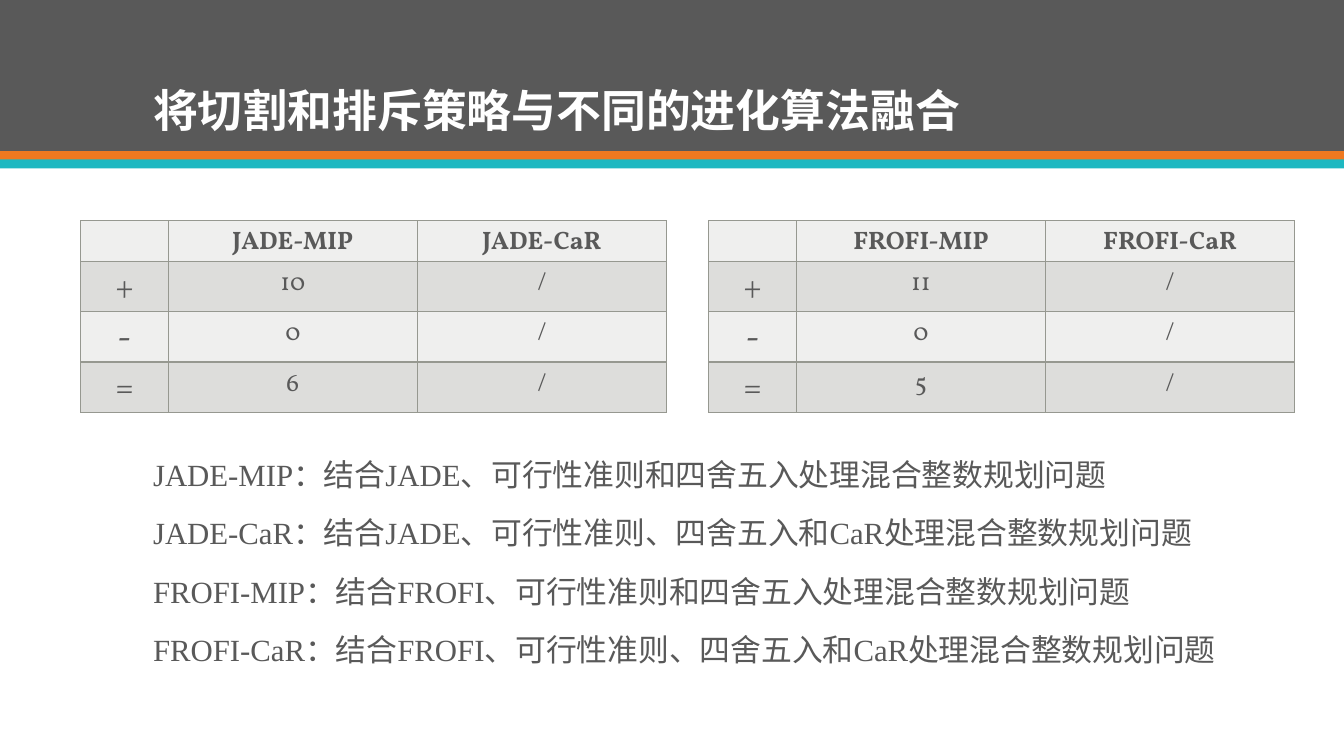
from lxml import etree
from pptx import Presentation
from pptx.dml.color import RGBColor
from pptx.enum import shapes, text
from pptx.oxml import ns
from pptx.util import Inches, Pt

# Content
TITLE = "将切割和排斥策略与不同的进化算法融合"
TABLES = [
    [("", "JADE-MIP", "JADE-CaR"), ("+", "10", "/"), ("-", "0", "/"), ("=", "6", "/")],
    [("", "FROFI-MIP", "FROFI-CaR"), ("+", "11", "/"), ("-", "0", "/"), ("=", "5", "/")],
]
NOTES = [
    "JADE-MIP：结合JADE、可行性准则和四舍五入处理混合整数规划问题",
    "JADE-CaR：结合JADE、可行性准则、四舍五入和CaR处理混合整数规划问题",
    "FROFI-MIP：结合FROFI、可行性准则和四舍五入处理混合整数规划问题",
    "FROFI-CaR：结合FROFI、可行性准则、四舍五入和CaR处理混合整数规划问题",
]

# Style
GRAY = RGBColor(0x59, 0x59, 0x59)
ORANGE = RGBColor(0xEF, 0x79, 0x20)
TEAL = RGBColor(0x1E, 0xB8, 0xC1)
WHITE = RGBColor(0xFF, 0xFF, 0xFF)
LIGHT = RGBColor(0xEF, 0xEF, 0xEE)
DARK = RGBColor(0xDD, 0xDD, 0xDB)
BORDER = RGBColor(0x96, 0x98, 0x90)
CJK_FONT = "Noto Sans CJK SC"
BANDS = [(0, 1.5, GRAY), (1.5, 0.09, ORANGE), (1.58, 0.09, TEAL)]
TABLE_LEFT, TABLE_TOP, TABLE_STEP = 0.8, 2.19, 6.23
COLUMNS = [0.87, 2.47, 2.47]
ROWS = [0.37, 0.5, 0.5, 0.5]


def style(paragraph, name, size, color, bold=False):
    font = paragraph.font
    font.name, font.size, font.bold = name, Pt(size), bold
    font.color.rgb = color
    latin = font._element.find(ns.qn("a:latin"))
    east_asian = etree.Element(ns.qn("a:ea"), typeface=CJK_FONT)
    latin.addnext(east_asian)


def add_text(slide, box, lines, name, size, color, bold=False, anchor=text.MSO_ANCHOR.TOP):
    frame = slide.shapes.add_textbox(*map(Inches, box)).text_frame
    frame.word_wrap = True
    frame.vertical_anchor = anchor
    frame.text = "\n".join(lines)
    for index, paragraph in enumerate(frame.paragraphs):
        paragraph.line_spacing = 0.9
        if index:
            paragraph.space_before = Pt(18)
        style(paragraph, name, size, color, bold)


def add_borders(cell):
    properties = cell._tc.get_or_add_tcPr()
    for index, side in enumerate(("lnL", "lnR", "lnT", "lnB")):
        line = etree.Element(ns.qn(f"a:{side}"), w=str(Pt(1)))
        fill = etree.SubElement(line, ns.qn("a:solidFill"))
        etree.SubElement(fill, ns.qn("a:srgbClr"), val=str(BORDER))
        properties.insert(index, line)


def add_result_table(slide, left, rows):
    table = slide.shapes.add_table(
        len(rows), len(COLUMNS), Inches(left), Inches(TABLE_TOP),
        Inches(sum(COLUMNS)), Inches(sum(ROWS))).table
    for column, width in zip(table.columns, COLUMNS):
        column.width = Inches(width)
    for row, height in zip(table.rows, ROWS):
        row.height = Inches(height)
    for r, values in enumerate(rows):
        for c, value in enumerate(values):
            cell = table.cell(r, c)
            cell.text = value
            cell.fill.solid()
            cell.fill.fore_color.rgb = DARK if r % 2 else LIGHT
            add_borders(cell)
            paragraph = cell.text_frame.paragraphs[0]
            paragraph.alignment = text.PP_ALIGN.CENTER
            style(paragraph, "Vollkorn", 24 if r and c == 0 else 18, GRAY, r == 0)


presentation = Presentation()
presentation.slide_width, presentation.slide_height = Inches(13.33), Inches(7.5)
slide = presentation.slides.add_slide(presentation.slide_layouts[6])

# Header bands and title
for top, height, color in BANDS:
    band = slide.shapes.add_shape(shapes.MSO_SHAPE.RECTANGLE, 0, Inches(top),
                                  presentation.slide_width, Inches(height))
    band.shadow.inherit = False
    band.fill.solid()
    band.fill.fore_color.rgb = color
    band.line.fill.background()
add_text(slide, (1.42, 0.28, 10.5, 1.13), [TITLE], CJK_FONT, 32, WHITE, True,
         text.MSO_ANCHOR.BOTTOM)

# Result tables
for index, rows in enumerate(TABLES):
    add_result_table(slide, TABLE_LEFT + index * TABLE_STEP, rows)

# Explanation of the methods
add_text(slide, (1.42, 4.51, 11.46, 2.49), NOTES, "Times New Roman", 22, GRAY)

presentation.save("out.pptx")
